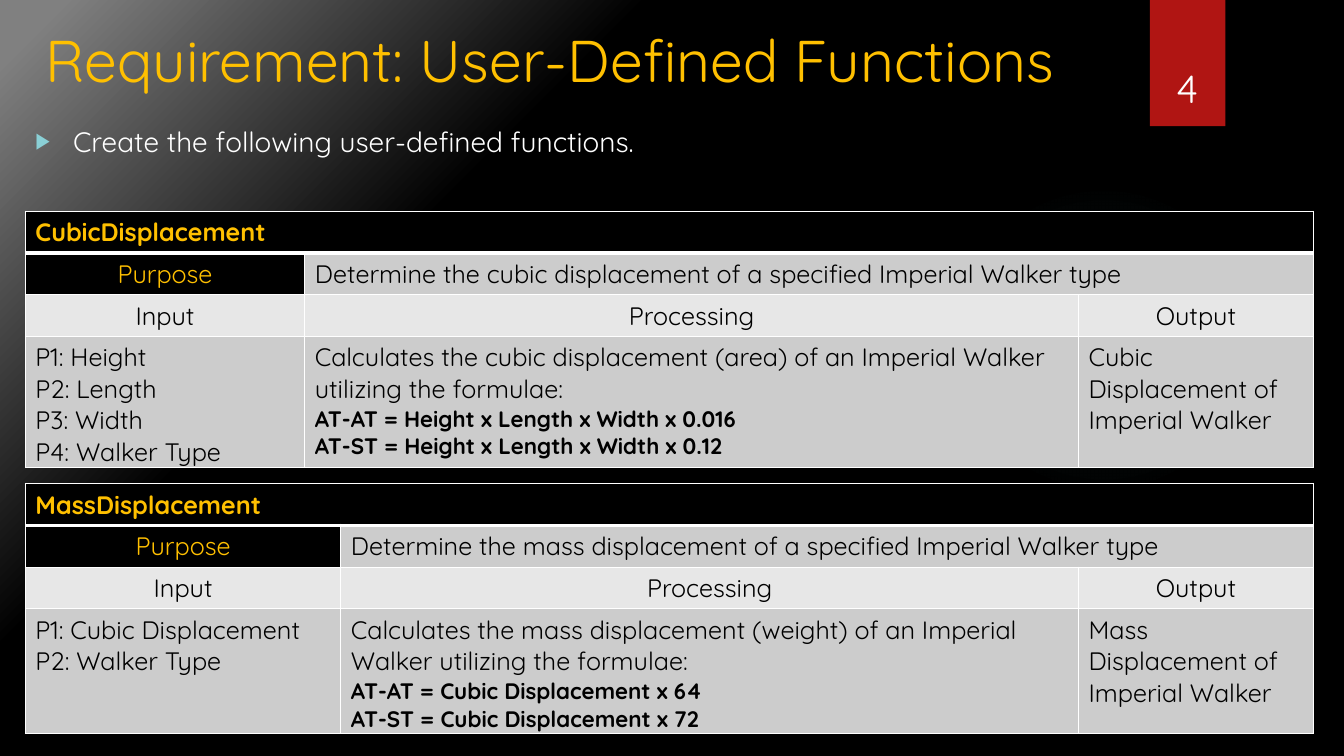
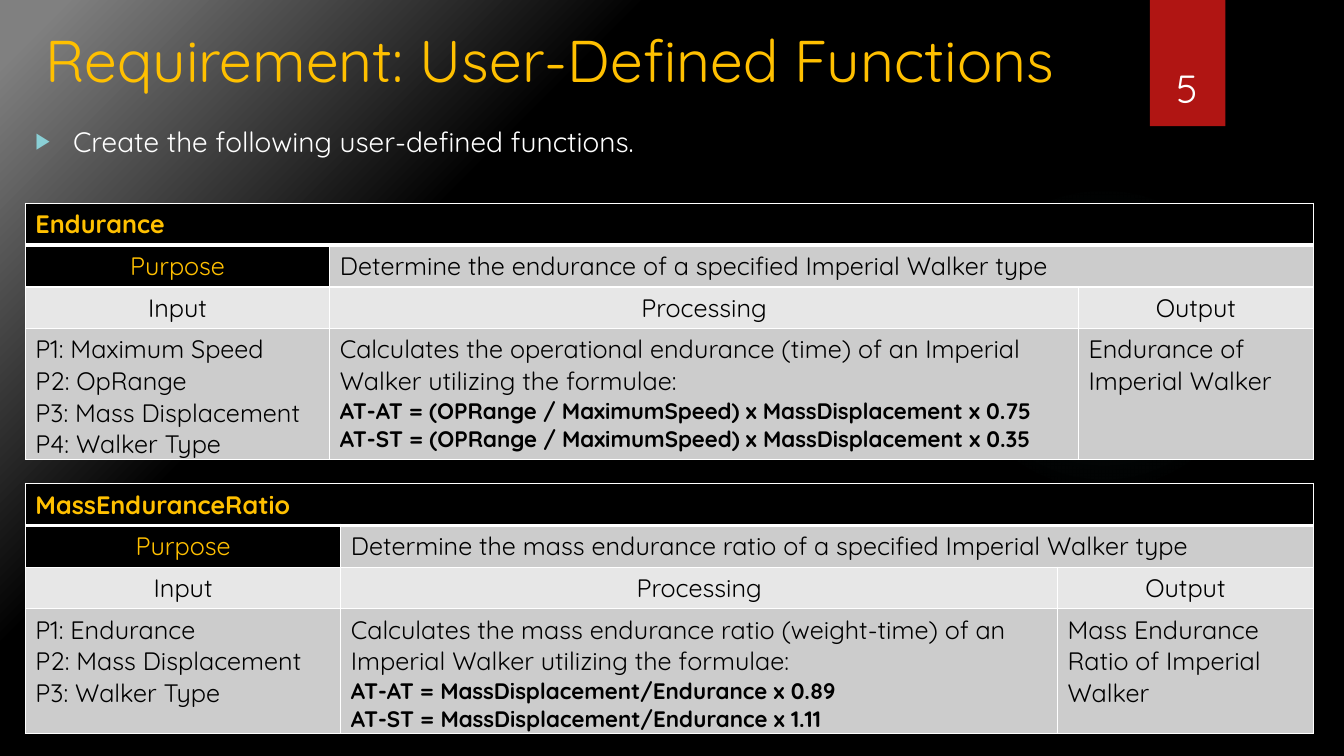
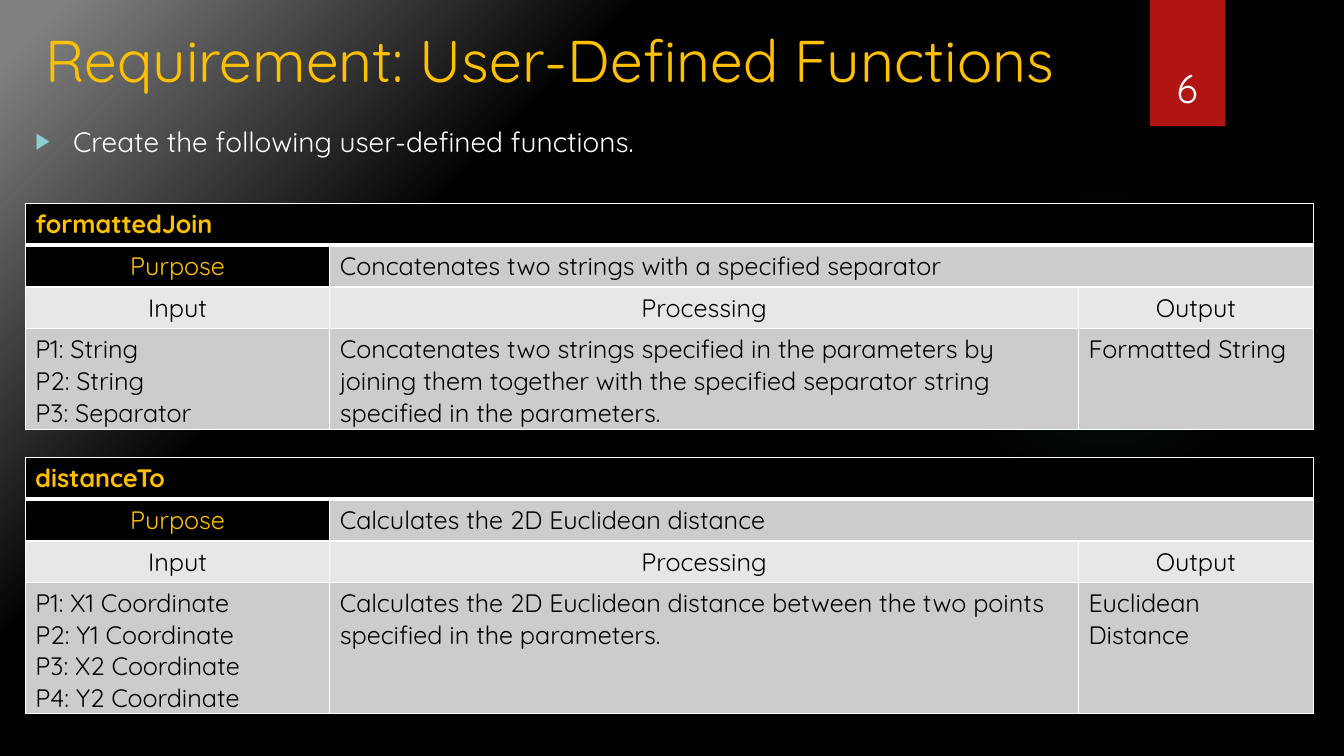
import dataclasses

import pptx
import pptx.dml.color
import pptx.enum.shapes
import pptx.enum.text
import pptx.oxml
import pptx.oxml.ns
import pptx.util
from pptx.util import Cm, Pt

# Shared look
FONT = "Quicksand"
BLACK, WHITE, GOLD = "000000", "FFFFFF", "FFC000"
RED, TEAL, PALE_TEAL = "B01513", "50B9C1", "8AD0D6"
GREY, DARK_CELL, LIGHT_CELL = "808080", "CCCCCC", "E7E7E7"
LEFT, CENTER = pptx.enum.text.PP_ALIGN.LEFT, pptx.enum.text.PP_ALIGN.CENTER
NAMESPACE = pptx.oxml.ns.nsdecls("a")

TITLE = "Requirement: User-Defined Functions"
INTRODUCTION = "Create the following user-defined functions."
FIRST_NUMBER = 4

# Table grid, in centimetres
TABLE_LEFT, TABLE_WIDTH, ROW_HEIGHT = 0.64, 32.46, 1.05


@dataclasses.dataclass
class FunctionTable:
    name: str
    purpose: str
    inputs: list
    processing: str
    output: str
    top: float
    height: float
    formulas: tuple = ()
    input_width: float = 7.67
    output_width: float = 5.92


SLIDES = [
    [
        FunctionTable(
            "CubicDisplacement",
            "Determine the cubic displacement of a specified Imperial Walker type",
            ["P1: Height", "P2: Length", "P3: Width", "P4: Walker Type"],
            "Calculates the cubic displacement (area) of an Imperial Walker utilizing the formulae:",
            "Cubic Displacement of Imperial Walker",
            top=5.33, height=6.4, input_width=7.04,
            formulas=("AT-AT = Height x Length x Width x 0.016",
                      "AT-ST = Height x Length x Width x 0.12")),
        FunctionTable(
            "MassDisplacement",
            "Determine the mass displacement of a specified Imperial Walker type",
            ["P1: Cubic Displacement", "P2: Walker Type"],
            "Calculates the mass displacement (weight) of an Imperial Walker utilizing the formulae:",
            "Mass Displacement of Imperial Walker",
            top=12.19, height=6.22, input_width=7.95,
            formulas=("AT-AT = Cubic Displacement x 64",
                      "AT-ST = Cubic Displacement x 72")),
    ],
    [
        FunctionTable(
            "Endurance",
            "Determine the endurance of a specified Imperial Walker type",
            ["P1: Maximum Speed", "P2: OpRange", "P3: Mass Displacement", "P4: Walker Type"],
            "Calculates the operational endurance (time) of an Imperial Walker utilizing the formulae:",
            "Endurance of Imperial Walker",
            top=5.13, height=6.4,
            formulas=("AT-AT = (OPRange / MaximumSpeed) x MassDisplacement x 0.75",
                      "AT-ST = (OPRange / MaximumSpeed) x MassDisplacement x 0.35")),
        FunctionTable(
            "MassEnduranceRatio",
            "Determine the mass endurance ratio of a specified Imperial Walker type",
            ["P1: Endurance", "P2: Mass Displacement", "P3: Walker Type"],
            "Calculates the mass endurance ratio (weight-time) of an Imperial Walker utilizing the formulae:",
            "Mass Endurance Ratio of Imperial Walker",
            top=12.19, height=6.22, input_width=7.95, output_width=6.45,
            formulas=("AT-AT = MassDisplacement/Endurance x 0.89",
                      "AT-ST = MassDisplacement/Endurance x 1.11")),
    ],
    [
        FunctionTable(
            "formattedJoin",
            "Concatenates two strings with a specified separator",
            ["P1: String", "P2: String", "P3: Separator"],
            "Concatenates two strings specified in the parameters by joining them together "
            "with the specified separator string specified in the parameters.",
            "Formatted String",
            top=5.13, height=5.64),
        FunctionTable(
            "distanceTo",
            "Calculates the 2D Euclidean distance",
            ["P1: X1 Coordinate", "P2: Y1 Coordinate", "P3: X2 Coordinate", "P4: Y2 Coordinate"],
            "Calculates the 2D Euclidean distance between the two points specified in the parameters.",
            "Euclidean Distance",
            top=11.53, height=6.4),
    ],
]


# Colour and text helpers
def color(hex_string):
    return pptx.dml.color.RGBColor.from_string(hex_string)


def format_paragraph(paragraph, size, hex_string, bold=False, align=LEFT):
    paragraph.alignment = align
    font = paragraph.font
    font.name, font.size, font.bold = FONT, Pt(size), bold
    font.color.rgb = color(hex_string)


def place(shape, left, top, width, height):
    shape.left, shape.top = Cm(left), Cm(top)
    shape.width, shape.height = Cm(width), Cm(height)


def apply_radial_gradient(fill, owner, stops, focus):
    """Stops are (position, colour, opacity) and focus is (left, top, right, bottom), in percent."""
    fill.gradient()
    stop_list = "".join(
        f'<a:gs pos="{position * 1000}"><a:srgbClr val="{hex_string}">'
        f'<a:alpha val="{opacity * 1000}"/></a:srgbClr></a:gs>'
        for position, hex_string, opacity in stops)
    sides = " ".join(f'{side}="{value * 1000}"' for side, value in zip("ltrb", focus))
    gradient = pptx.oxml.parse_xml(
        f'<a:gradFill {NAMESPACE} rotWithShape="1"><a:gsLst>{stop_list}</a:gsLst>'
        f'<a:path path="circle"><a:fillToRect {sides}/></a:path></a:gradFill>')
    linear = next(owner.iter(pptx.oxml.ns.qn("a:gradFill")))
    linear.getparent().replace(linear, gradient)


# Elements that every slide shares
def set_background(master):
    stops = [(0, BLACK, 100), (23, BLACK, 100), (69, BLACK, 100), (97, GREY, 100)]
    apply_radial_gradient(master.background.fill, master.element, stops, (100, 100, 0, 0))


def add_plain_shape(slide, kind, left, top, width, height):
    shape = slide.shapes.add_shape(kind, Cm(left), Cm(top), Cm(width), Cm(height))
    shape.shadow.inherit = False
    shape.line.fill.background()
    return shape


def add_decoration(slide):
    kinds = pptx.enum.shapes.MSO_SHAPE
    glow = add_plain_shape(slide, kinds.OVAL, 23.9, 4.65, 7.82, 7.82)
    stops = [(0, TEAL, 7), (36, TEAL, 6), (69, TEAL, 0)]
    apply_radial_gradient(glow.fill, glow.element, stops, (50, 50, 50, 50))

    ribbon = add_plain_shape(slide, kinds.RECTANGLE, 28.98, 0, 1.9, 3.18)
    ribbon.fill.solid()
    ribbon.fill.fore_color.rgb = color(RED)
    effects = next(ribbon.element.iter(pptx.oxml.ns.qn("a:effectLst")))
    effects.append(pptx.oxml.parse_xml(
        f'<a:outerShdw {NAMESPACE} blurRad="{Pt(3)}" dist="{Pt(2)}" dir="5400000" '
        f'rotWithShape="0"><a:srgbClr val="{BLACK}"><a:alpha val="45000"/></a:srgbClr>'
        '</a:outerShdw>'))


def add_number(slide, number):
    box = slide.shapes.add_textbox(Cm(28.75), Cm(0.81), Cm(2.34), Cm(2.13))
    frame = box.text_frame
    frame.word_wrap = True
    frame.vertical_anchor = pptx.enum.text.MSO_ANCHOR.BOTTOM
    frame.text = str(number)
    format_paragraph(frame.paragraphs[0], 28, WHITE, align=CENTER)


def fill_title(slide):
    title = slide.shapes.title
    place(title, 0.89, 0.48, 27.2, 2.03)
    title.text_frame.text = TITLE
    title.text_frame.auto_size = pptx.enum.text.MSO_AUTO_SIZE.NONE
    format_paragraph(title.text_frame.paragraphs[0], 42, GOLD)


def fill_introduction(slide):
    body = slide.placeholders[1]
    place(body, 0.64, 3, 16.71, 1.65)
    body.text_frame.text = INTRODUCTION
    body.text_frame.auto_size = pptx.enum.text.MSO_AUTO_SIZE.NONE
    paragraph = body.text_frame.paragraphs[0]
    paragraph.space_before = Pt(0)
    properties = paragraph._p.get_or_add_pPr()
    properties.set("marL", str(Cm(0.95)))
    properties.set("indent", str(-Cm(0.95)))
    for bullet in (f'<a:buClr {NAMESPACE}><a:srgbClr val="{PALE_TEAL}"/></a:buClr>',
                   f'<a:buSzPct {NAMESPACE} val="80000"/>',
                   f'<a:buChar {NAMESPACE} char="▶"/>'):
        properties.append(pptx.oxml.parse_xml(bullet))
    format_paragraph(paragraph, 20, WHITE)


# Function tables
def set_borders(cell, top=1, bottom=1):
    widths = {"L": 1, "R": 1, "T": top, "B": bottom}
    properties = cell._tc.get_or_add_tcPr()
    for index, (side, width) in enumerate(widths.items()):
        properties.insert(index, pptx.oxml.parse_xml(
            f'<a:ln{side} {NAMESPACE} w="{Pt(width)}"><a:solidFill>'
            f'<a:srgbClr val="{WHITE}"/></a:solidFill></a:ln{side}>'))


def fill_cell(cell, lines, fill, hex_string=BLACK, bold=False, align=LEFT, formulas=()):
    cell.fill.solid()
    cell.fill.fore_color.rgb = color(fill)
    frame = cell.text_frame
    frame.text = "\n".join([*lines, *formulas])
    for index, paragraph in enumerate(frame.paragraphs):
        if index < len(lines):
            format_paragraph(paragraph, 18, hex_string, bold, align)
        else:
            format_paragraph(paragraph, 16, hex_string, True, align)


def add_function_table(slide, function):
    frame = slide.shapes.add_table(
        4, 3, Cm(TABLE_LEFT), Cm(function.top), Cm(TABLE_WIDTH), Cm(function.height))
    table = frame.table
    table.first_row = table.horz_banding = False
    middle = TABLE_WIDTH - function.input_width - function.output_width
    for column, width in zip(table.columns, (function.input_width, middle, function.output_width)):
        column.width = Cm(width)
    heights = [ROW_HEIGHT] * 3 + [function.height - 3 * ROW_HEIGHT]
    for row, height in zip(table.rows, heights):
        row.height = Cm(height)

    table.cell(0, 0).merge(table.cell(0, 2))
    table.cell(1, 1).merge(table.cell(1, 2))
    fill_cell(table.cell(0, 0), [function.name], BLACK, GOLD, bold=True)
    fill_cell(table.cell(1, 0), ["Purpose"], BLACK, GOLD, align=CENTER)
    fill_cell(table.cell(1, 1), [function.purpose], DARK_CELL)
    for column, heading in enumerate(("Input", "Processing", "Output")):
        fill_cell(table.cell(2, column), [heading], LIGHT_CELL, align=CENTER)
    fill_cell(table.cell(3, 0), function.inputs, DARK_CELL)
    fill_cell(table.cell(3, 1), [function.processing], DARK_CELL, formulas=function.formulas)
    fill_cell(table.cell(3, 2), [function.output], DARK_CELL)

    for index, row in enumerate(table.rows):
        for cell in row.cells:
            set_borders(cell, top=3 if index == 1 else 1, bottom=3 if index == 0 else 1)


def main():
    presentation = pptx.Presentation()
    presentation.slide_width, presentation.slide_height = Cm(33.87), Cm(19.05)
    set_background(presentation.slide_master)
    layout = presentation.slide_layouts[1]
    for number, functions in enumerate(SLIDES, FIRST_NUMBER):
        slide = presentation.slides.add_slide(layout)
        add_decoration(slide)
        fill_title(slide)
        fill_introduction(slide)
        add_number(slide, number)
        for function in functions:
            add_function_table(slide, function)
    presentation.save("out.pptx")


if __name__ == "__main__":
    main()
